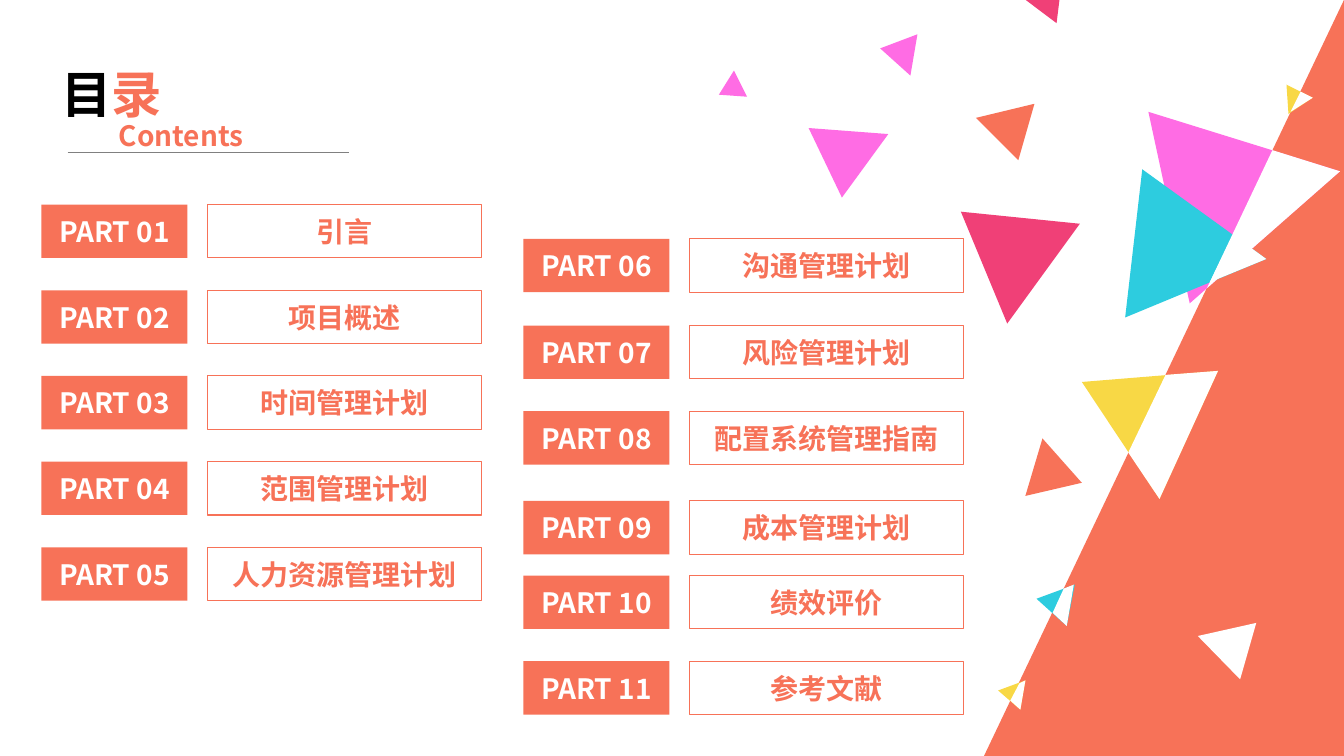
from lxml import etree
from pptx import Presentation, util as u
from pptx.dml.color import RGBColor
from pptx.enum import shapes, text
from pptx.oxml.ns import qn

# Content
COLOURS = {
    "coral": "F77258", "pink": "FF6CE4", "cyan": "2DCCDF", "yellow": "F8D845",
    "crimson": "F04077", "white": "FFFFFF", "black": "000000", "grey": "808080",
}
FONT = "Noto Sans CJK SC"
TITLE = [("目", "black"), ("录", "coral")]
SUBTITLE = "Contents"
CHAPTERS = [
    # left edge of the column, then (top, name) of each part
    (0.41, [(2.03, "引言"), (2.88, "项目概述"), (3.73, "时间管理计划"),
            (4.58, "范围管理计划"), (5.43, "人力资源管理计划")]),
    (5.19, [(2.37, "沟通管理计划"), (3.23, "风险管理计划"), (4.08, "配置系统管理指南"),
            (4.97, "成本管理计划"), (5.71, "绩效评价"), (6.56, "参考文献")]),
]
CONFETTI = [
    # colour and corners in inches, from back to front
    ("coral", [(10.26, 1.03), (10.1, 1.59), (9.68, 1.17)]),
    ("pink", [(11.8, 3.01), (11.39, 1.11), (13.29, 1.7)]),
    ("cyan", [(11.16, 3.15), (11.33, 1.68), (12.56, 2.57)]),
    ("cyan", [(10.28, 5.94), (10.66, 5.8), (10.58, 6.21)]),
    ("yellow", [(9.9, 6.85), (10.17, 6.75), (10.12, 7.04)]),
    ("yellow", [(10.73, 3.79), (12.08, 3.68), (11.5, 4.95)]),
    ("crimson", [(10.71, 2.22), (9.99, 3.21), (9.53, 2.1)]),
    ("yellow", [(12.78, 1.13), (12.76, 0.84), (13.02, 0.97)]),
    ("pink", [(8.73, 0.48), (9.1, 0.34), (9.03, 0.75)]),
    ("crimson", [(10.48, 0.23), (10.16, -0.01), (10.53, -0.17)]),
    ("pink", [(8.35, 1.96), (8.02, 1.27), (8.81, 1.33)]),
    ("coral", [(10.73, 4.79), (10.17, 4.92), (10.34, 4.35)]),
    ("white", [(12.46, 6.18), (12.3, 6.74), (11.88, 6.31)]),
    ("pink", [(7.13, 0.94), (7.28, 0.7), (7.41, 0.96)]),
    # white parts that overlap the coral corner
    ("white", [(12.62, 1.49), (13.29, 1.7), (11.97, 2.86)]),
    ("white", [(12.23, 2.33), (12.56, 2.57), (12, 2.8)]),
    ("white", [(10.65, 5.8), (10.58, 6.21), (10.44, 6.08), (10.55, 5.84)]),
    ("white", [(10.17, 6.75), (10.12, 7.04), (10.02, 6.95), (10.11, 6.78)]),
    ("white", [(12.08, 3.68), (11.5, 4.95), (11.19, 4.49), (11.56, 3.72)]),
    ("white", [(12.9, 0.91), (13.02, 0.97), (12.8, 1.11)]),
]

# Grid, in inches
WIDTH, HEIGHT = 13.33, 7.5
LABEL_WIDTH, NAME_OFFSET, NAME_WIDTH, ROW_HEIGHT = 1.45, 1.65, 2.72, 0.53
CORNER_WIDTH = 3.57


def rgb(name):
    return RGBColor.from_string(COLOURS[name])


def inches(*lengths):
    return [u.Inches(length) for length in lengths]


def write(box, spans, size, align, anchor):
    frame = box.text_frame
    for key, value in {"word_wrap": True, "vertical_anchor": anchor,
                       "auto_size": text.MSO_AUTO_SIZE.NONE}.items():
        setattr(frame, key, value)
    para = frame.paragraphs[0]
    para.alignment = align
    for words, colour in spans:
        span = para.add_run()
        span.text = words
        for key, value in {"name": FONT, "size": u.Pt(size), "bold": True}.items():
            setattr(span.font, key, value)
        span.font.color.rgb = rgb(colour)
        # East Asian characters take their own font element
        fonts = etree.SubElement(span.font._element, qn("a:ea"))
        fonts.set("typeface", FONT)


def paint(shape, fill=None, line=None):
    shape.shadow.inherit = False
    if fill:
        shape.fill.solid()
        shape.fill.fore_color.rgb = rgb(fill)
    else:
        shape.fill.background()
    if line:
        shape.line.color.rgb = rgb(line)
        shape.line.width = u.Pt(0.75)
    else:
        shape.line.fill.background()


def add_panel(page, place, words, colour, fill=None, line=None):
    panel = page.shapes.add_shape(shapes.MSO_SHAPE.RECTANGLE, *inches(*place))
    paint(panel, fill, line)
    write(panel, [(words, colour)], 20, text.PP_ALIGN.CENTER, text.MSO_ANCHOR.MIDDLE)


def add_heading(page):
    left, top = text.PP_ALIGN.LEFT, text.MSO_ANCHOR.TOP
    title = page.shapes.title
    for key, value in zip(("left", "top", "width", "height"),
                          inches(0.51, 0.58, 1.57, 0.71)):
        setattr(title, key, value)
    write(title, TITLE, 36, left, top)
    subtitle = page.shapes.add_textbox(*inches(1.08, 1.13, 1.57, 0.44))
    write(subtitle, [(SUBTITLE, "coral")], 20, left, top)
    rule = page.shapes.add_connector(shapes.MSO_CONNECTOR.STRAIGHT,
                                     *inches(0.67, 1.51, 3.46, 1.51))
    rule.line.color.rgb = rgb("grey")
    rule.line.width = u.Pt(0.5)
    etree.SubElement(rule._element.spPr, qn("a:effectLst"))


def add_chapters(page):
    number = 0
    for left, parts in CHAPTERS:
        for top, name in parts:
            number += 1
            add_panel(page, (left, top, LABEL_WIDTH, ROW_HEIGHT),
                      f"PART {number:02d}", "white", fill="coral")
            add_panel(page, (left + NAME_OFFSET, top, NAME_WIDTH, ROW_HEIGHT),
                      name, "coral", line="coral")


def add_decoration(page):
    corner = page.shapes.add_shape(
        shapes.MSO_SHAPE.ISOSCELES_TRIANGLE,
        *inches(WIDTH - CORNER_WIDTH, 0, CORNER_WIDTH, HEIGHT))
    corner.adjustments[0] = 1
    paint(corner, "coral")
    for colour, corners in CONFETTI:
        start, *others = [inches(*point) for point in corners]
        outline = page.shapes.build_freeform(*start)
        outline.add_line_segments(others, close=True)
        paint(outline.convert_to_shape(), colour)


def main():
    deck = Presentation()
    deck.slide_width, deck.slide_height = inches(WIDTH, HEIGHT)
    page = deck.slides.add_slide(deck.slide_layouts[5])
    add_decoration(page)
    add_heading(page)
    add_chapters(page)
    deck.save("out.pptx")


if __name__ == "__main__":
    main()
